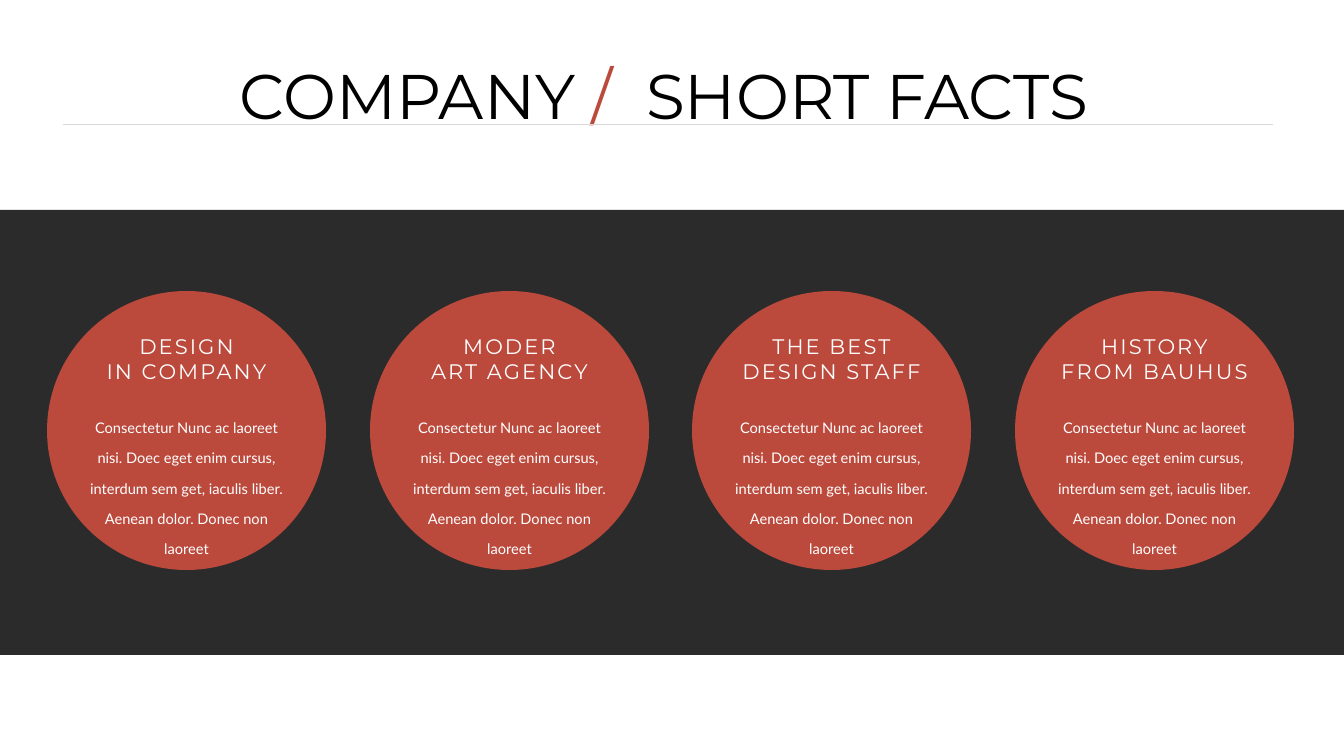
from lxml import etree
from pptx import Presentation
from pptx.dml.color import RGBColor
from pptx.enum.shapes import MSO_CONNECTOR, MSO_SHAPE
from pptx.enum.text import MSO_ANCHOR, MSO_AUTO_SIZE, PP_ALIGN
from pptx.oxml.ns import qn
from pptx.util import Emu, Pt

RECT, OVAL = MSO_SHAPE.RECTANGLE, MSO_SHAPE.OVAL
STRAIGHT = MSO_CONNECTOR.STRAIGHT
TOP, NO_FIT, CENTER = MSO_ANCHOR.TOP, MSO_AUTO_SIZE.NONE, PP_ALIGN.CENTER

PX = 914400 / 50.4
WIDTH, HEIGHT = 1344, 756
COLORS = {"black": "000000", "red": "BB493C", "rule": "D9D9D9", "white": "FFFFFF"}
FACTS = [
    ("DESIGN", "IN COMPANY"),
    ("MODER", "ART AGENCY"),
    ("THE BEST", "DESIGN STAFF"),
    ("HISTORY", "FROM BAUHUS"),
]
BODY = ("Consectetur Nunc ac laoreet nisi. Doec eget enim cursus, "
        "interdum sem get, iaculis liber. Aenean dolor. Donec non laoreet")


def px(*lengths):
    return [Emu(round(n * PX)) for n in lengths]


def rgb(name):
    return RGBColor.from_string(COLORS[name])


def add_filled(shapes, kind, box, color):
    sp = shapes.add_shape(kind, *px(*box))
    sp.shadow.inherit = False
    sp.fill.solid()
    sp.fill.fore_color.rgb = rgb(color)
    sp.line.fill.background()
    return sp


def set_font(font, name, size, color):
    font.name, font.size = name, Pt(size)
    font.color.rgb = rgb(color)


def set_run(r, **attributes):
    """Set run attributes such as spc (letter spacing) and baseline."""
    for name, value in attributes.items():
        r._r.get_or_add_rPr().set(name, str(value))


def add_title(s, box):
    x, y, w, h = box
    title = s.shapes.title
    title.left, title.top, title.width, title.height = px(*box)
    tf = title.text_frame
    tf.auto_size, tf.vertical_anchor, tf.word_wrap = NO_FIT, TOP, True
    p = tf.paragraphs[0]
    p.alignment, p.line_spacing = CENTER, 0.8
    for text, color in (("COMPANY ", "black"), ("/", "red"), (" SHORT FACTS", "black")):
        r = p.add_run()
        r.text = text
        set_font(r.font, "Montserrat", 90, color)
    set_run(p.runs[1], spc=2400)

    rule = s.shapes.add_connector(STRAIGHT, *px(x + 9, y + 55, x + w - 0, y + 55))
    rule.line.color.rgb = rgb("rule")
    rule.line.width = Pt(0.5)
    etree.SubElement(rule._element.spPr, qn("a:effectLst"))


def add_band(s, box):
    band = add_filled(s.shapes, RECT, box, "black")
    color = band._element.spPr.find(qn("a:solidFill"))[0]
    etree.SubElement(color, qn("a:alpha")).set("val", "83000")


def add_fact(s, box, heading):
    x, y, w, h = box
    group = s.shapes.add_group_shape()
    add_filled(group.shapes, OVAL, box, "red")
    tb = group.shapes.add_textbox(*px(x + 31, y + 40, w - 62, h - 87))
    tf = tb.text_frame
    tf.word_wrap = True
    tf.margin_left, tf.margin_right = px(8, 8)
    for i, text in enumerate((*heading, BODY)):
        p = tf.paragraphs[0] if i == 0 else tf.add_paragraph()
        p.alignment = CENTER
        r = p.add_run()
        r.text = text
        if text == BODY:
            p.space_before = Pt(46)
            set_font(p.font, "Lato", 36, "white")
            set_run(r, baseline=30000)
        else:
            set_font(p.font, "Montserrat", 30, "white")
            set_run(r, spc=300)


def main():
    prs = Presentation()
    prs.slide_width, prs.slide_height = px(WIDTH, HEIGHT)
    s = prs.slides.add_slide(prs.slide_layouts[5])
    add_band(s, (0, 210, WIDTH, 445))
    add_title(s, (54, 69, 1219, 66))
    first, last, size = 47, 1015, 279
    pitch = (last - first) / (len(FACTS) - 1)
    for i, heading in enumerate(FACTS):
        add_fact(s, (round(first + i * pitch), 291, size, size), heading)
    prs.save("out.pptx")


if __name__ == "__main__":
    main()
